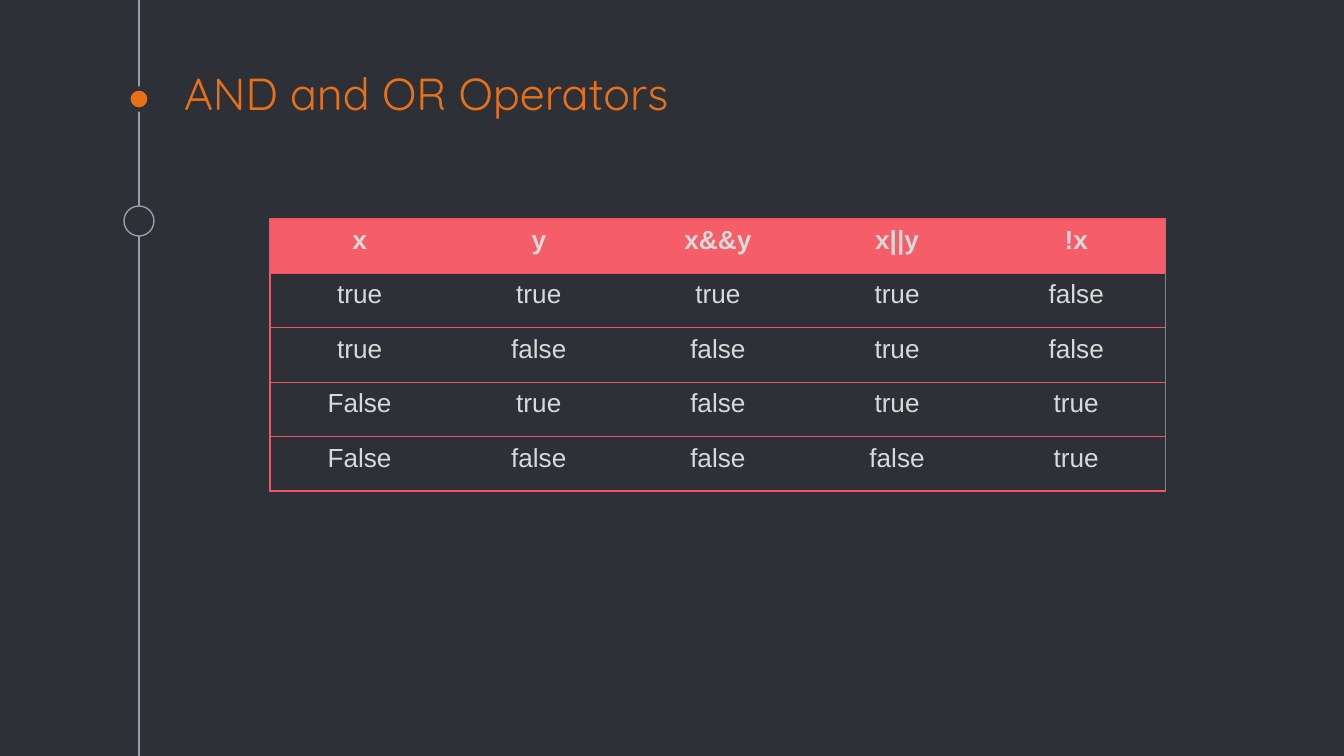
from dataclasses import dataclass

from lxml.etree import SubElement
from pptx import Presentation
from pptx.dml.color import RGBColor
from pptx.enum.shapes import MSO_CONNECTOR, MSO_SHAPE
from pptx.enum.text import MSO_ANCHOR, PP_ALIGN
from pptx.oxml.ns import qn
from pptx.util import Emu, Pt


@dataclass(frozen=True)
class Theme:
    background: str = "2E3037"
    accent: str = "E87118"
    rail: str = "999FA9"
    header: str = "F55D69"
    border: str = "F15564"
    cell_text: str = "D9D9D9"
    title_font: str = "Quicksand"
    cell_font: str = "Arial"
    title_size: int = 24
    cell_size: int = 14
    thin: float = 0.75
    thick: float = 2.25


THEME = Theme()
EMU_PER_PX = 914400 / 134.4
NO_GRID_STYLE = "{2D5ABB26-0587-4C30-8999-92F81FD0307C}"
TRUTH_TABLE = [
    ["x", "y", "x&&y", "x||y", "!x"],
    ["true", "true", "true", "true", "false"],
    ["true", "false", "false", "true", "false"],
    ["False", "true", "false", "true", "true"],
    ["False", "false", "false", "false", "true"],
]


def px(n):
    return Emu(round(n * EMU_PER_PX))


def rgb(color):
    return RGBColor.from_string(color)


def set_attributes(target, values):
    for name, value in values.items():
        setattr(target, name, value)


def style_line(line, color, width):
    line.color.rgb = rgb(color)
    line.width = Pt(width)


def write(tf, text, color, **font):
    p = tf.paragraphs[0]
    r = p.add_run()
    r.text = text
    r.font.color.rgb = rgb(color)
    set_attributes(r.font, font)
    return p


def add_rail(s, x, height):
    line = s.shapes.add_connector(
        MSO_CONNECTOR.STRAIGHT, px(x), px(0), px(x), px(height))
    style_line(line.line, THEME.rail, THEME.thin)
    SubElement(line._element.spPr, qn("a:effectLst"))


def add_dot(s, cx, cy, size, fill, outline, width):
    dot = s.shapes.add_shape(
        MSO_SHAPE.OVAL, px(cx - size / 2), px(cy - size / 2), px(size), px(size))
    dot.shadow.inherit = False
    dot.fill.solid()
    dot.fill.fore_color.rgb = rgb(fill)
    style_line(dot.line, outline, width)


def add_title(s, text, x, y, w, h):
    tf = s.shapes.add_textbox(px(x), px(y), px(w), px(h)).text_frame
    inset = px(13)
    set_attributes(tf, {
        "word_wrap": True, "vertical_anchor": MSO_ANCHOR.BOTTOM,
        "margin_left": inset, "margin_right": inset,
        "margin_top": inset, "margin_bottom": inset,
    })
    write(tf, text, THEME.accent, name=THEME.title_font, size=Pt(THEME.title_size))


def add_borders(cell, sides):
    tcPr = cell._tc.get_or_add_tcPr()
    for side in "LRTB":
        ln = SubElement(tcPr, qn(f"a:ln{side}"), w=str(Pt(THEME.thin)))
        if side in sides:
            fill = SubElement(ln, qn("a:solidFill"))
            SubElement(fill, qn("a:srgbClr"), val=THEME.border)
        else:
            SubElement(ln, qn("a:noFill"))


def fill_cell(cell, text, is_header, sides):
    add_borders(cell, sides)
    if is_header:
        cell.fill.solid()
        cell.fill.fore_color.rgb = rgb(THEME.header)
    else:
        cell.fill.background()
    p = write(cell.text_frame, text, THEME.cell_text, name=THEME.cell_font,
              size=Pt(THEME.cell_size), bold=is_header)
    p.alignment = PP_ALIGN.CENTER


def add_truth_table(s, rows, x, y, w, h):
    n_rows, n_cols = len(rows), len(rows[0])
    table = s.shapes.add_table(
        n_rows, n_cols, px(x), px(y), px(w), px(h)).table
    set_attributes(table, {"first_row": False, "horz_banding": False})
    table._tbl.tblPr.find(qn("a:tableStyleId")).text = NO_GRID_STYLE
    for i, row in enumerate(rows):
        for j, text in enumerate(row):
            sides = "TB" + "L" * (j == 0) + "R" * (j == n_cols - 1)
            fill_cell(table.cell(i, j), text, i == 0, sides)


def main():
    prs = Presentation()
    set_attributes(prs, {"slide_width": px(1344), "slide_height": px(756)})
    s = prs.slides.add_slide(prs.slide_layouts[6])
    s.background.fill.solid()
    s.background.fill.fore_color.rgb = rgb(THEME.background)

    rail_x = 139
    add_rail(s, rail_x, 756)
    add_dot(s, rail_x, 99, 21, THEME.accent, THEME.background, THEME.thick)
    add_dot(s, rail_x, 221, 30, THEME.background, THEME.rail, THEME.thin)
    add_title(s, "AND and OR Operators", 171, 81, 1163, 51)
    add_truth_table(s, TRUTH_TABLE, 270, 219, 896, 272)
    prs.save("out.pptx")


if __name__ == "__main__":
    main()
